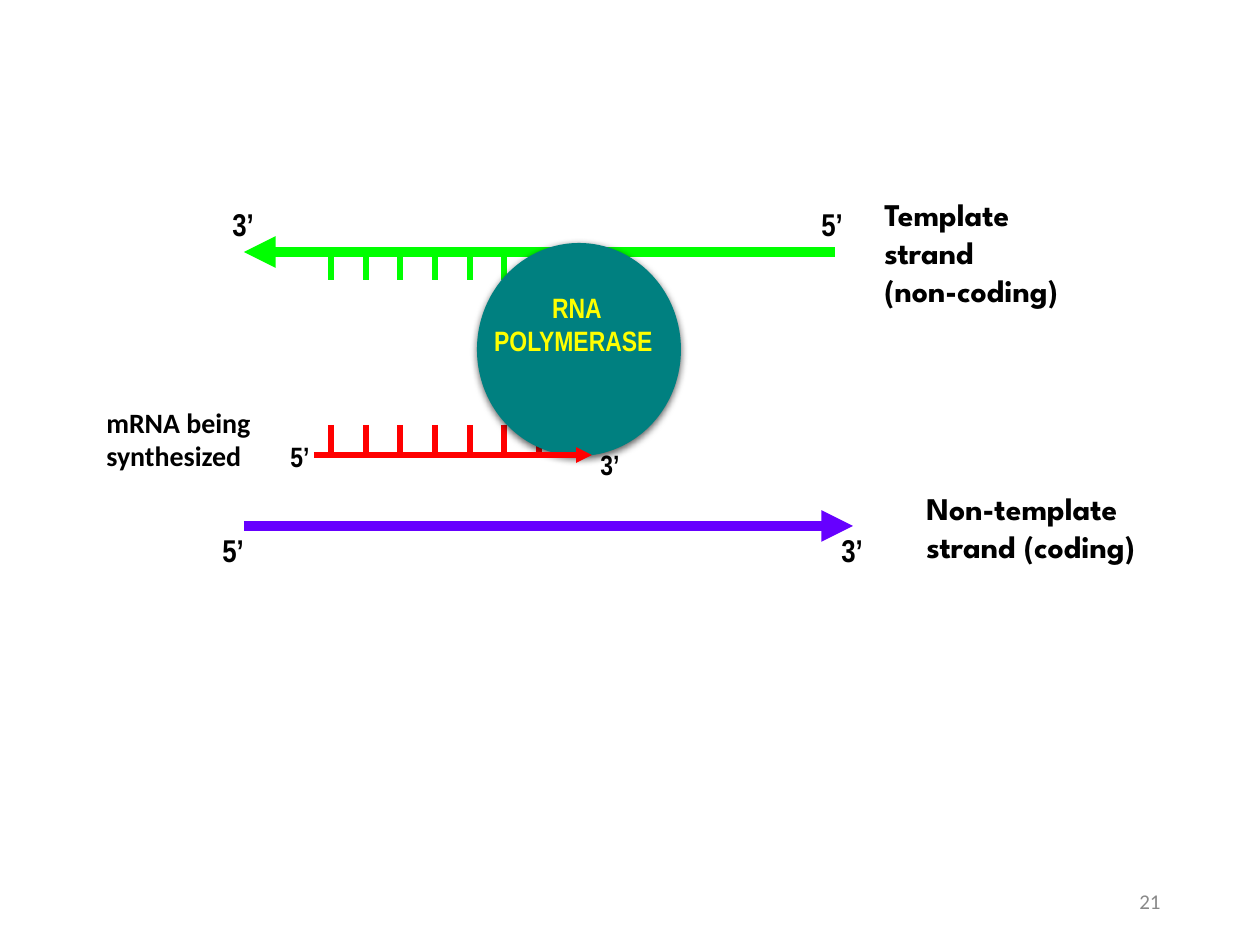
from lxml import etree
from pptx import Presentation
from pptx.dml.color import RGBColor
from pptx.enum.shapes import MSO_CONNECTOR, MSO_SHAPE
from pptx.enum.text import MSO_ANCHOR, PP_ALIGN
from pptx.oxml.ns import qn
from pptx.util import Emu, Pt

LINE = MSO_CONNECTOR.STRAIGHT
OVAL = MSO_SHAPE.OVAL
TOP, MIDDLE = MSO_ANCHOR.TOP, MSO_ANCHOR.MIDDLE
LEFT, MID, RIGHT = PP_ALIGN.LEFT, PP_ALIGN.CENTER, PP_ALIGN.RIGHT
SCALE = 914400 / 126
GREEN, RED, VIOLET, TEAL = "00FF00", "FF0000", "6600FF", "008080"
BLACK, YELLOW, GREY = "000000", "FFFF00", "898989"
NARROW, SANS, BOLD = "Arial Narrow", "Calibri", "League Spartan"


def px(*sizes):
    """Turn px lengths into EMU."""
    return [Emu(round(size * SCALE)) for size in sizes]


def color(code):
    """Turn a hex string into a colour."""
    return RGBColor.from_string(code)


class Page:
    """Holds the deck style and the current slide."""

    def __init__(self, width, height):
        """Open a deck with one blank slide."""
        self.deck = Presentation()
        self.deck.slide_width, self.deck.slide_height = px(width, height)
        self.slide = self.deck.slides.add_slide(self.deck.slide_layouts[6])
        self.style = {"name": NARROW, "size": Pt(18), "bold": True}

    def line(self, ends, code, width, arrow=False, group=None):
        """Draw a straight line, with an arrowhead if asked."""
        home = group or self.slide
        link = home.shapes.add_connector(LINE, *px(*ends))
        link.line.color.rgb = color(code)
        link.line.width = Pt(width)
        props = link._element.spPr
        if arrow:
            etree.SubElement(props.find(qn("a:ln")), qn("a:tailEnd"), type="triangle")
        etree.SubElement(props, qn("a:effectLst"))

    def rungs(self, top, foot, code):
        """Draw a group of seven evenly spaced bases."""
        group = self.slide.shapes.add_group_shape()
        first, last, count = 331, 539, 7
        for i in range(count):
            x = first + round(i * (last - first) / (count - 1))
            self.line((x, top, x, foot), code, 3, group=group)

    def disc(self, box, code):
        """Draw a filled ellipse with a soft shadow."""
        shape = self.slide.shapes.add_shape(OVAL, *px(*box))
        shape.fill.solid()
        shape.fill.fore_color.rgb = color(code)
        shape.line.fill.background()
        shape.shadow.inherit = False
        effect = shape._element.spPr.find(qn("a:effectLst"))
        shade = etree.SubElement(effect, qn("a:outerShdw"), blurRad=str(Pt(4.5)),
                                 dist=str(Pt(1.5)), dir="5400000", rotWithShape="0")
        tint = etree.SubElement(shade, qn("a:srgbClr"), val=BLACK)
        etree.SubElement(tint, qn("a:alpha"), val="63000")

    def text(self, box, words, code=BLACK, align=LEFT, anchor=TOP, **form):
        """Write one paragraph for each line of words."""
        frame = self.slide.shapes.add_textbox(*px(*box)).text_frame
        frame.word_wrap = True
        frame.vertical_anchor = anchor
        frame.text = words
        for para in frame.paragraphs:
            para.alignment = align
            font = para.runs[0].font
            for key, value in {**self.style, **form}.items():
                setattr(font, key, value)
            font.color.rgb = color(code)


def main():
    """Build the transcription slide."""
    page = Page(1260, 945)
    small = {"size": Pt(16)}
    page.text((890, 876, 283, 50), "21", GREY, RIGHT, MIDDLE,
              name=SANS, size=Pt(12), bold=False)
    page.line((835, 252, 244, 252), GREEN, 6, True)
    page.line((244, 526, 853, 526), VIOLET, 6, True)
    page.rungs(252, 280, GREEN)
    page.rungs(425, 452, RED)
    page.disc((477, 243, 204, 213), TEAL)
    page.text((210, 525, 72, 89), "5’")
    page.text((829, 525, 52, 84), "3’")
    page.text((588, 441, 52, 53), "3’", **small)
    page.text((278, 433, 53, 74), "5’", **small)
    page.text((472, 284, 209, 106), "RNA POLYMERASE ", YELLOW, MID, **small)
    page.text((872, 189, 226, 147), "Template strand\n(non-coding)", name=BOLD)
    page.text((914, 483, 252, 126), "Non-template strand (coding)", name=BOLD)
    page.text((809, 199, 52, 84), "5’")
    page.text((220, 199, 52, 84), "3’")
    page.line((314, 455, 592, 455), RED, 3, True)
    page.text((94, 399, 199, 81), "mRNA being synthesized", name=SANS, **small)
    page.deck.save("out.pptx")


if __name__ == "__main__":
    main()
